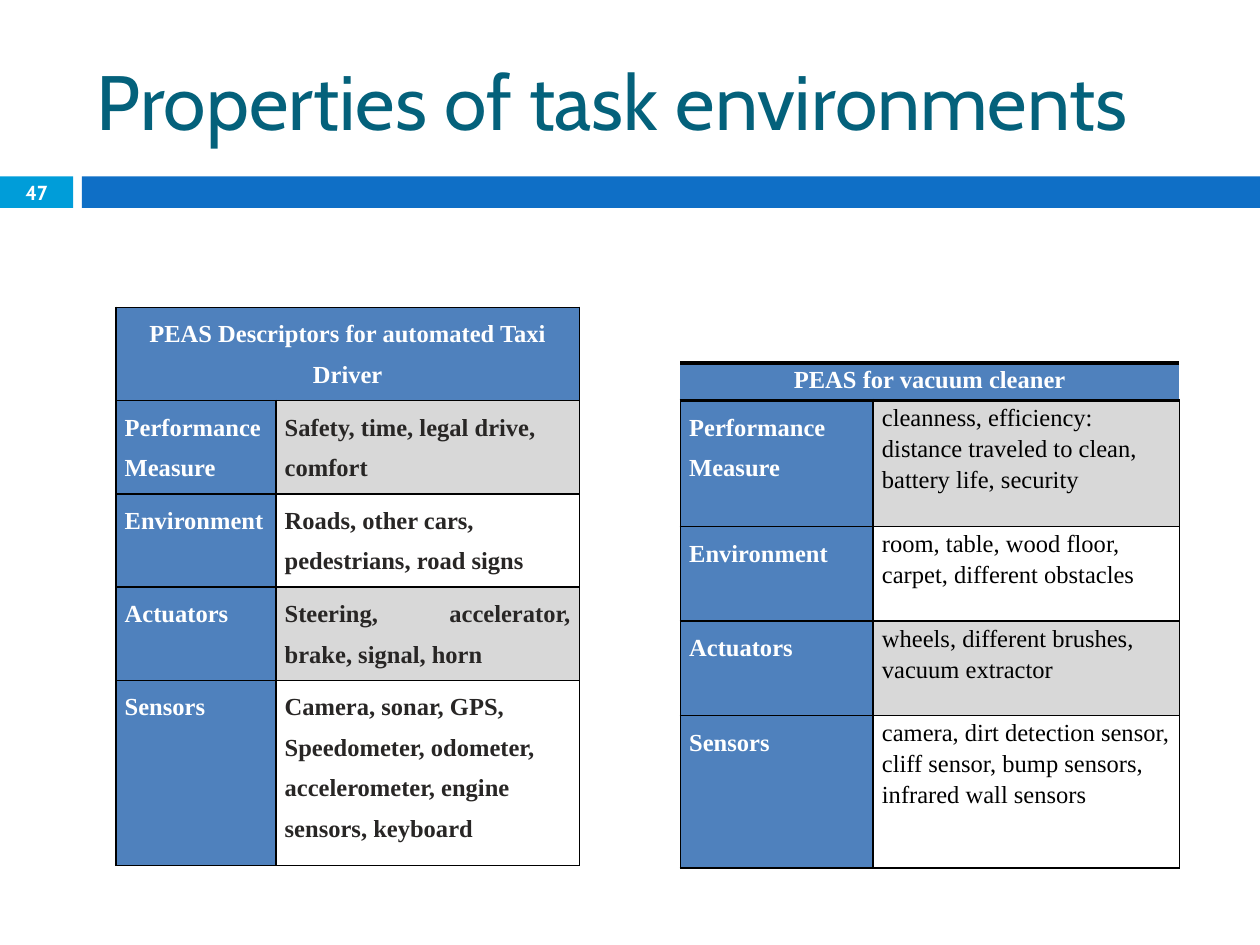
from lxml import etree
from pptx import Presentation
from pptx.dml.color import RGBColor
from pptx.enum.shapes import MSO_SHAPE
from pptx.enum.text import MSO_ANCHOR, PP_ALIGN
from pptx.oxml.ns import qn
from pptx.util import Inches, Pt

RECT = MSO_SHAPE.RECTANGLE
MIDDLE = MSO_ANCHOR.MIDDLE
LEFT, CENTER, JUSTIFY = PP_ALIGN.LEFT, PP_ALIGN.CENTER, PP_ALIGN.JUSTIFY

TITLE = "Properties of task environments"
NUMBER = "47"
BARS = [((0, 1.4, 0.58, 0.25), "009DD9"), ((0.65, 1.4, 9.35, 0.25), "0F6FC6")]
BLUE, GRAY, WHITE, BLACK = "4F81BD", "D8D8D8", "FFFFFF", "000000"
LABELS = ["Performance Measure", "Environment", "Actuators", "Sensors"]
THIN, THICK = 1, 2.25

TAXI = {
    "head": "PEAS Descriptors for automated Taxi Driver",
    "body": [
        "Safety, time, legal drive, comfort",
        "Roads, other cars, pedestrians, road signs",
        "Steering, accelerator, brake, signal, horn",
        "Camera, sonar, GPS, Speedometer, odometer, accelerometer, "
        "engine sensors, keyboard",
    ],
    "at": (0.92, 2.44),
    "cols": [1.27, 2.41],
    "rows": [0.74, 0.74, 0.74, 0.74, 1.47],
    "aligns": [LEFT, LEFT, JUSTIFY, LEFT],
    "color": "282625", "bold": True, "spacing": 1.5, "after": 0,
    "rule": THIN, "sides": THIN,
}
VACUUM = {
    "head": "PEAS for vacuum cleaner",
    "body": [
        "cleanness, efficiency: distance traveled to clean, "
        "battery life, security",
        "room, table, wood floor, carpet, different obstacles",
        "wheels, different brushes, vacuum extractor",
        "camera, dirt detection sensor, cliff sensor, bump sensors, "
        "infrared wall sensors",
    ],
    "at": (5.4, 2.88),
    "cols": [1.53, 2.43],
    "rows": [0.3, 1, 0.75, 0.75, 1.21],
    "aligns": [LEFT] * 4,
    "color": BLACK, "bold": False, "spacing": 1.15, "after": 10,
    "rule": THICK, "sides": 0,
}


def rgb(code):
    return RGBColor.from_string(code)


def style(para, font, size, color, bold=False, align=LEFT):
    para.alignment = align
    para.font.name = font
    para.font.size = Pt(size)
    para.font.bold = bold
    para.font.color.rgb = rgb(color)


def add_text(slide, box, text, *look):
    frame = slide.shapes.add_textbox(*map(Inches, box)).text_frame
    frame.word_wrap = True
    frame.vertical_anchor = MIDDLE
    frame.text = text
    style(frame.paragraphs[0], *look)


def add_bar(slide, box, color):
    bar = slide.shapes.add_shape(RECT, *map(Inches, box))
    bar.shadow.inherit = False
    bar.fill.solid()
    bar.fill.fore_color.rgb = rgb(color)
    bar.line.fill.background()


def set_edges(cell, widths):
    """Draw left, right, top and bottom borders; a width of 0 hides one."""
    props = cell._tc.get_or_add_tcPr()
    for i, (side, width) in enumerate(zip("LRTB", widths)):
        line = etree.Element(qn(f"a:ln{side}"), w=str(Pt(width)))
        if width:
            fill = etree.SubElement(line, qn("a:solidFill"))
            etree.SubElement(fill, qn("a:srgbClr"), val=BLACK)
        else:
            etree.SubElement(line, qn("a:noFill"))
        props.insert(i, line)


def fill_cell(cell, text, fill, color, bold, align, spacing, after, edges):
    cell.margin_left = cell.margin_right = Inches(0.07)
    cell.margin_top = cell.margin_bottom = 0
    if fill:
        cell.fill.solid()
        cell.fill.fore_color.rgb = rgb(fill)
    else:
        cell.fill.background()
    set_edges(cell, edges)
    cell.text = text
    para = cell.text_frame.paragraphs[0]
    style(para, "Times New Roman", 14, color, bold, align)
    para.line_spacing = spacing
    para.space_after = Pt(after)


def add_peas(slide, data):
    cols, rows = data["cols"], data["rows"]
    box = (*data["at"], sum(cols), sum(rows))
    table = slide.shapes.add_table(len(rows), len(cols), *map(Inches, box)).table
    for col, width in zip(table.columns, cols):
        col.width = Inches(width)
    for row, height in zip(table.rows, rows):
        row.height = Inches(height)

    rule, sides = data["rule"], data["sides"]
    gaps = data["spacing"], data["after"]
    for c, text in enumerate([data["head"], ""]):
        fill_cell(table.cell(0, c), text, BLUE, WHITE, True, CENTER, *gaps,
                  (sides, sides, rule, rule))
    table.cell(0, 0).merge(table.cell(0, 1))

    lines = zip(LABELS, data["body"], data["aligns"])
    for r, (label, text, align) in enumerate(lines, 1):
        edges = (THIN, THIN, rule if r == 1 else THIN, THIN)
        fill_cell(table.cell(r, 0), label, BLUE, WHITE, True, JUSTIFY,
                  1.5, 0, edges)
        fill_cell(table.cell(r, 1), text, GRAY if r % 2 else None,
                  data["color"], data["bold"], align, *gaps, edges)


def main():
    deck = Presentation()
    deck.slide_width, deck.slide_height = Inches(10), Inches(7.5)
    slide = deck.slides.add_slide(deck.slide_layouts[6])
    for box, color in BARS:
        add_bar(slide, box, color)
    add_text(slide, (0.67, 0.25, 8.92, 1.08), TITLE, "Cabin", 44, "04617B")
    add_text(slide, (0, 1.39, 0.58, 0.27), NUMBER,
             "Cabin", 11.6, WHITE, True, CENTER)
    for data in (TAXI, VACUUM):
        add_peas(slide, data)
    deck.save("out.pptx")


if __name__ == "__main__":
    main()
